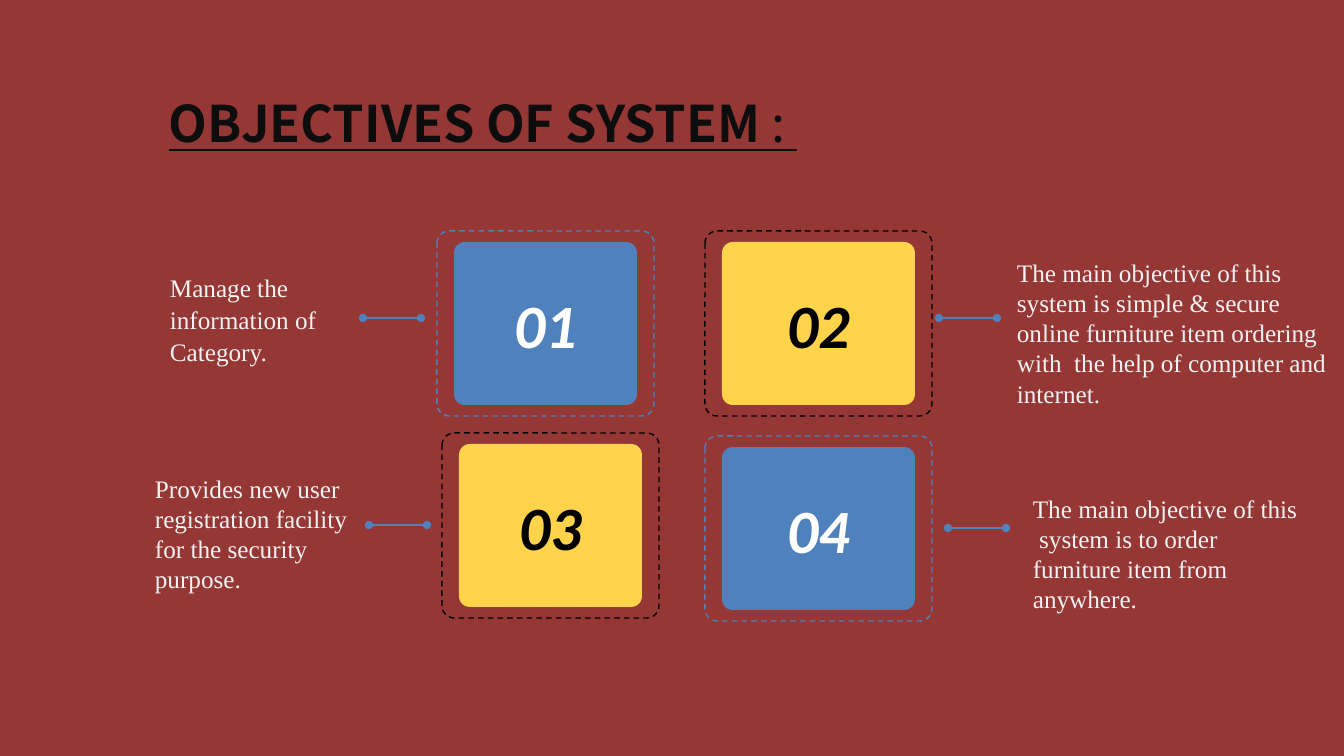
from lxml import etree
from pptx import Presentation
from pptx.dml.color import RGBColor
from pptx.enum import dml, shapes, text
from pptx.oxml.ns import qn
from pptx.util import Pt

# Content: lengths in px on a 1344 x 756 slide
WIDTH, HEIGHT = 1344, 756
MAROON, BLUE, YELLOW = "953735", "4F81BD", "FFD44B"
BLACK, WHITE, INK, PALE = "000000", "FFFFFF", "0D0D0D", "F2F2F2"
TITLE = [("OBJECTIVES OF SYSTEM ", True), (": ", False)]
TITLE_BOX = (147, 87, 672, 72)

# number, fill, dashed outline, number colour, outline box
CARDS = [
    ("01", BLUE, BLUE, WHITE, (437, 231, 217, 185)),
    ("02", YELLOW, BLACK, BLACK, (705, 231, 227, 185)),
    ("03", YELLOW, BLACK, BLACK, (442, 433, 217, 185)),
    ("04", BLUE, BLUE, WHITE, (705, 436, 227, 185)),
]
INSET_X, INSET_Y, CORNER = 17, 11, 0.066

# wording, box, line spacing, space after
OBJECTIVES = [
    ("Manage the information of Category.", (160, 265, 203, 108), 1.07, 8),
    ("The main objective of this system is simple & secure online furniture "
     "item ordering with  the help of computer and internet.",
     (1007, 252, 333, 163), 1, 0),
    ("Provides new user registration facility for the security purpose.",
     (145, 468, 247, 132), 1, 0),
    ("The main objective of this  system is to order furniture item from anywhere.",
     (1023, 488, 290, 132), 1, 0),
]

# left end and height of each link
LINKS = [(363, 318), (939, 318), (369, 525), (948, 528)]
LINK_LENGTH = 58


def px(length):
    return round(length * 12192000 / WIDTH)


def color(value):
    return RGBColor.from_string(value)


def add_run(paragraph, wording, font, size, ink, bold=False, italic=False, underline=False):
    run = paragraph.add_run()
    run.text = wording
    run.font.name = font
    run.font.size = Pt(size)
    run.font.color.rgb = color(ink)
    run.font.bold = bold
    run.font.italic = italic
    run.font.underline = underline


def add_text_box(box):
    frame = slide.shapes.add_textbox(*map(px, box)).text_frame
    frame.word_wrap = True
    frame.auto_size = text.MSO_AUTO_SIZE.SHAPE_TO_FIT_TEXT
    return frame.paragraphs[0]


def add_rounded(box):
    shape = slide.shapes.add_shape(shapes.MSO_SHAPE.ROUNDED_RECTANGLE, *map(px, box))
    shape.adjustments[0] = CORNER
    shape.shadow.inherit = False
    return shape


def add_card(number, fill, outline, ink, box):
    left, top, width, height = box
    card = add_rounded((left + INSET_X, top + INSET_Y,
                        width - 2 * INSET_X, height - 2 * INSET_Y))
    card.fill.solid()
    card.fill.fore_color.rgb = color(fill)
    card.line.fill.background()
    card.text_frame.vertical_anchor = text.MSO_ANCHOR.MIDDLE
    paragraph = card.text_frame.paragraphs[0]
    paragraph.alignment = text.PP_ALIGN.CENTER
    add_run(paragraph, number, "Calibri", 44, ink, bold=True, italic=True)

    frame = add_rounded(box)
    frame.fill.background()
    frame.line.color.rgb = color(outline)
    frame.line.width = Pt(1)
    frame.line.dash_style = dml.MSO_LINE.DASH


def add_link(left, y):
    link = slide.shapes.add_connector(shapes.MSO_CONNECTOR.STRAIGHT,
                                      px(left + LINK_LENGTH), px(y), px(left), px(y))
    link.line.color.rgb = color(BLUE)
    link.line.width = Pt(1.5)
    outline = link.line._get_or_add_ln()
    for end in ("a:headEnd", "a:tailEnd"):
        etree.SubElement(outline, qn(end), type="oval")
    etree.SubElement(link._element.spPr, qn("a:effectLst"))


presentation = Presentation()
presentation.slide_width, presentation.slide_height = px(WIDTH), px(HEIGHT)
slide = presentation.slides.add_slide(presentation.slide_layouts[6])
slide.background.fill.solid()
slide.background.fill.fore_color.rgb = color(MAROON)

# Numbered cards
for card_content in CARDS:
    add_card(*card_content)

# Title
title = add_text_box(TITLE_BOX)
title.alignment = text.PP_ALIGN.CENTER
for wording, bold in TITLE:
    add_run(title, wording, "Noto Sans CJK SC", 36, INK, bold=bold, underline=True)

# Links between cards and objectives
for left, y in LINKS:
    add_link(left, y)

# Objectives
for wording, box, spacing, after in OBJECTIVES:
    objective = add_text_box(box)
    objective.line_spacing = spacing
    objective.space_after = Pt(after)
    add_run(objective, wording, "Times New Roman", 18, PALE)

presentation.save("out.pptx")
